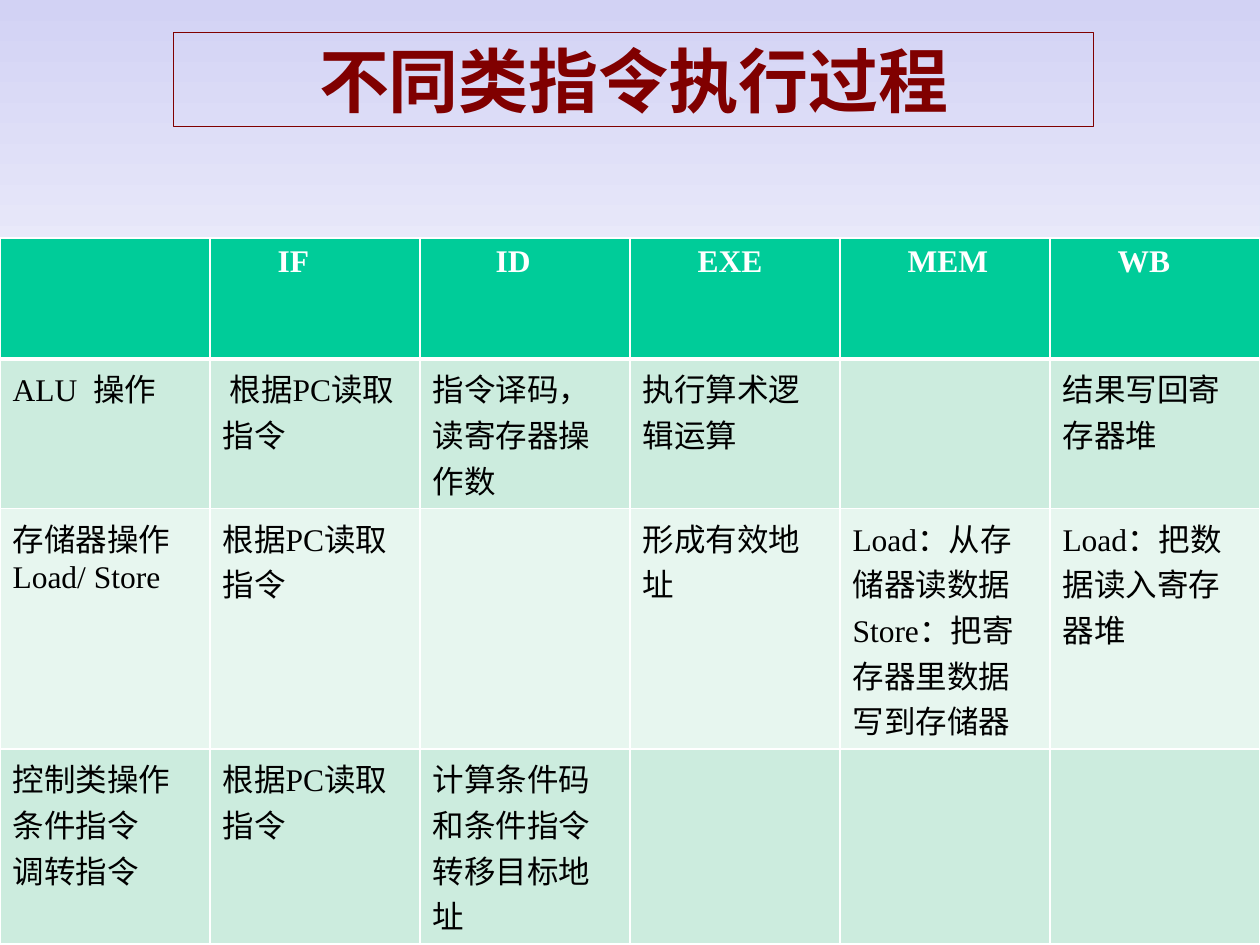
from copy import deepcopy

from lxml.etree import SubElement
from pptx import Presentation
from pptx.dml.color import RGBColor as Rgb
from pptx.enum.shapes import MSO_SHAPE as Preset
from pptx.enum.text import MSO_ANCHOR as Anchor, PP_ALIGN as Align
from pptx.oxml.ns import qn
from pptx.util import Inches, Pt

COLORS = {
    "sky": "D2D2F4", "white": "FFFFFF", "maroon": "800000", "black": "000000",
    "header": "00CC99", "band": "CCECDE", "light": "E7F6EF",
}
TITLE_FONT = {"name": "Arial", "size": Pt(40), "bold": True}
HEADER_FONT = {"name": "Times New Roman", "size": Pt(18), "bold": True}
BODY_FONT = {**HEADER_FONT, "bold": False}
SPACE_WIDTH = Pt(4.5)

STAGES = [("", 0), ("IF", 7), ("ID", 8), ("EXE", 7), ("MEM", 7), ("WB", 7)]
FETCH = "根据PC读取指令"
INSTRUCTIONS = [
    ["ALU  操作", " " + FETCH, "指令译码，读寄存器操作数", "执行算术逻辑运算", "", "结果写回寄存器堆"],
    ["存储器操作\nLoad/ Store", FETCH, "", "形成有效地址",
     "Load：从存储器读数据\nStore：把寄存器里数据写到存储器", "Load：把数据读入寄存器堆"],
    ["控制类操作\n条件指令\n调转指令", FETCH, "计算条件码和条件指令转移目标地址", "", "", ""],
]


def color(name):
    return Rgb.from_string(COLORS[name])


def apply_format(target, values):
    for attribute, value in values.items():
        setattr(target, attribute, value)


def style_text(frame, font_format, color_name):
    for paragraph in frame.paragraphs:
        apply_format(paragraph.font, font_format)
        paragraph.font.color.rgb = color(color_name)
        for run in paragraph.runs:
            apply_format(run.font, font_format)
            run.font.color.rgb = color(color_name)


def paint_background(slide):
    fill = slide.background.fill
    fill.gradient()
    fill.gradient_angle = 270
    stop_list = slide.background._cSld.xpath(".//a:gsLst")[0]
    stop_list.append(deepcopy(stop_list[-1]))
    for stop, position, name in zip(fill.gradient_stops, (0, 0.5, 1), ("sky", "white", "white")):
        stop.position = position
        stop.color.rgb = color(name)


def add_title(slide, left, top, width, height):
    title = slide.shapes.add_shape(Preset.RECTANGLE, left, top, width, height)
    title.shadow.inherit = False
    title.fill.background()
    title.line.color.rgb = color("maroon")
    title.line.width = Pt(0.75)
    frame = title.text_frame
    apply_format(frame, {"text": "不同类指令执行过程", "word_wrap": True,
                         "vertical_anchor": Anchor.MIDDLE})
    frame.paragraphs[0].alignment = Align.CENTER
    style_text(frame, TITLE_FONT, "maroon")


def add_borders(cell, widths):
    properties = cell._tc.get_or_add_tcPr()
    for index, (side, points) in enumerate(widths.items()):
        border = properties.makeelement(qn(f"a:ln{side}"), {"w": str(Pt(points))})
        fill = SubElement(border, qn("a:solidFill"))
        SubElement(fill, qn("a:srgbClr"), val=COLORS["white"])
        properties.insert(index, border)


def fill_cell(cell, text, fill_name, font_format, font_color, widths):
    cell.text = text
    cell.fill.solid()
    cell.fill.fore_color.rgb = color(fill_name)
    style_text(cell.text_frame, font_format, font_color)
    add_borders(cell, widths)


def add_stage_table(slide, left, top, width, height, row_height):
    frame = slide.shapes.add_table(len(INSTRUCTIONS) + 1, len(STAGES), left, top, width, height)
    table = frame.table
    for column in table.columns:
        column.width = int(width / len(STAGES))
    for row in table.rows:
        row.height = row_height
    frame.height = height

    for column, (stage, indent) in enumerate(STAGES):
        cell = table.cell(0, column)
        fill_cell(cell, stage, "header", HEADER_FONT, "white", {"L": 1, "R": 1, "T": 1, "B": 3})
        paragraph = cell.text_frame.paragraphs[0]
        paragraph._p.get_or_add_pPr().set("marL", str(indent * SPACE_WIDTH))
    for row, steps in enumerate(INSTRUCTIONS, 1):
        top_border = 3 if row == 1 else 1
        for column, step in enumerate(steps):
            fill_cell(table.cell(row, column), step, "band" if row % 2 else "light",
                      BODY_FONT, "black", {"L": 1, "R": 1, "T": top_border, "B": 1})


def main():
    deck = Presentation()
    apply_format(deck, {"slide_width": Inches(10), "slide_height": Inches(7.5)})
    wide, high = deck.slide_width, deck.slide_height
    slide = deck.slides.add_slide(deck.slide_layouts[6])
    paint_background(slide)
    add_title(slide, int(wide * 0.138), int(high * 0.034), int(wide * 0.73), int(high * 0.1))
    add_stage_table(slide, 0, int(high * 0.252), wide, int(high * 0.648), int(high * 0.128))
    deck.save("out.pptx")


if __name__ == "__main__":
    main()
